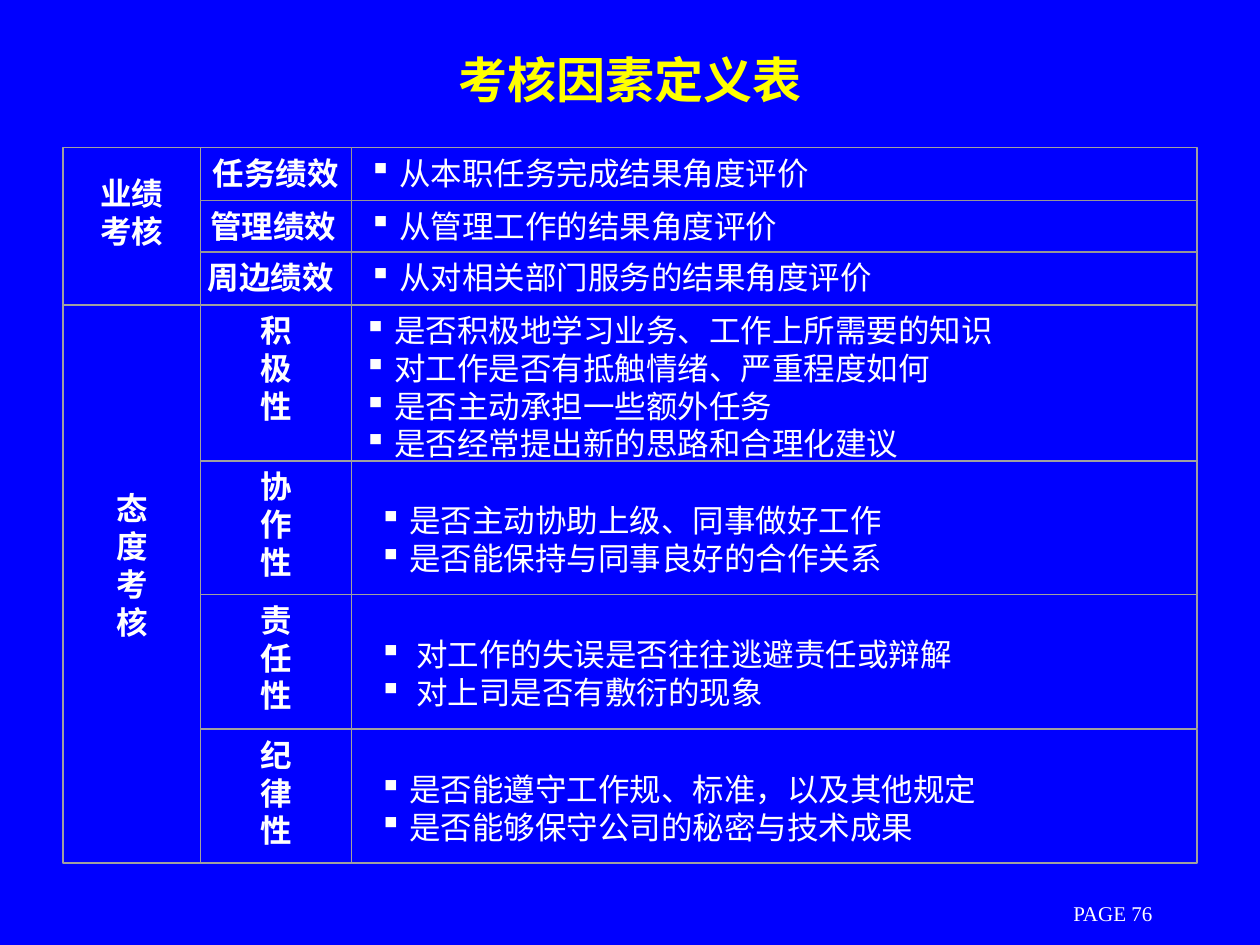
import pptx
import pptx.util
import pptx.dml.color
import pptx.enum.shapes
import pptx.enum.text
import pptx.oxml.ns
from lxml import etree

TITLE = "考核因素定义表"
PAGE_LABEL = "PAGE 76"
RESULTS_GROUP = "业绩\v考核"
RESULTS = [
    ("任务绩效", "从本职任务完成结果角度评价"),
    ("管理绩效", "从管理工作的结果角度评价"),
    ("周边绩效", "从对相关部门服务的结果角度评价"),
]
ATTITUDE_GROUP = "态度考核"
ATTITUDES = [
    ("积极性", ["是否积极地学习业务、工作上所需要的知识", "对工作是否有抵触情绪、严重程度如何",
             "是否主动承担一些额外任务", "是否经常提出新的思路和合理化建议"]),
    ("协作性", ["是否主动协助上级、同事做好工作", "是否能保持与同事良好的合作关系"]),
    ("责任性", [" 对工作的失误是否往往逃避责任或辩解", " 对上司是否有敷衍的现象"]),
    ("纪律性", ["是否能遵守工作规、标准，以及其他规定", "是否能够保守公司的秘密与技术成果"]),
]

LEFT, LABELS, DETAILS, RIGHT = 0.5, 1.59, 2.79, 9.5
TOP, MIDDLE, BOTTOM = 1.17, 2.42, 6.85
FIRST_HEIGHT = 1.24
ROW_HEIGHT = (BOTTOM - MIDDLE - FIRST_HEIGHT) / (len(ATTITUDES) - 1)
RESULT_STEP = (MIDDLE - TOP) / len(RESULTS)
SERIF = "Times New Roman"
CENTER = pptx.enum.text.PP_ALIGN.CENTER
ANCHOR = pptx.enum.text.MSO_ANCHOR


def color(value):
    return pptx.dml.color.RGBColor.from_string(value)


def inches(*values):
    return [pptx.util.Inches(round(value, 2)) for value in values]


def add_bullet(paragraph):
    properties = paragraph._p.get_or_add_pPr()
    indent = pptx.util.Inches(0.24)
    properties.set("marL", str(indent))
    properties.set("indent", str(-indent))
    tag = pptx.oxml.ns.qn
    bullet_color = etree.SubElement(properties, tag("a:buClr"))
    etree.SubElement(bullet_color, tag("a:srgbClr"), val="FFFFFF")
    etree.SubElement(properties, tag("a:buChar"), char="▪")


def style(paragraph, size, bold=False, name=SERIF, fill="FFFFFF"):
    font = paragraph.font
    font.size, font.bold, font.name = pptx.util.Pt(size), bold, name
    font.color.rgb = color(fill)


def write(shape, lines, size=18, bold=False, bullets=False, centered=False,
          anchor=ANCHOR.TOP, wrap=True, inset_top=0.05, inset_bottom=0.05):
    frame = shape.text_frame
    frame.word_wrap = wrap
    frame.vertical_anchor = anchor
    frame.margin_top, frame.margin_bottom = inches(inset_top, inset_bottom)
    for index, line in enumerate(lines):
        paragraph = frame.paragraphs[0] if index == 0 else frame.add_paragraph()
        paragraph.text = line
        paragraph.line_spacing = pptx.util.Pt(size * 1.2)
        paragraph.alignment = CENTER if centered else pptx.enum.text.PP_ALIGN.LEFT
        if bullets:
            add_bullet(paragraph)
        style(paragraph, size, bold)


def add_text(slide, box, lines, **options):
    write(slide.shapes.add_textbox(*inches(*box)), lines, **options)


def add_label(slide, box, lines, **options):
    add_text(slide, box, lines, bold=True, centered=True, **options)


def add_frame(slide, left, top, right, bottom):
    shape = slide.shapes.add_shape(pptx.enum.shapes.MSO_SHAPE.RECTANGLE,
                                   *inches(left, top, right - left, bottom - top))
    shape.shadow.inherit = False
    shape.fill.background()
    shape.line.color.rgb = color("A0A0A0")
    shape.line.width = pptx.util.Pt(0)
    return shape


def add_rule(slide, *ends):
    rule = slide.shapes.add_connector(pptx.enum.shapes.MSO_CONNECTOR.STRAIGHT, *inches(*ends))
    rule.line.color.rgb = color("969696")
    rule.line.width = pptx.util.Pt(0.75)
    etree.SubElement(rule._element.spPr, pptx.oxml.ns.qn("a:effectLst"))


def add_title(slide):
    title = slide.shapes.title
    title.left, title.top, title.width, title.height = inches(0.75, 0, 8.5, 1.25)
    title.text_frame.vertical_anchor = ANCHOR.MIDDLE
    paragraph = title.text_frame.paragraphs[0]
    paragraph.text = TITLE
    paragraph.alignment = CENTER
    style(paragraph, 28, True, "Noto Sans CJK SC", "FFFF00")


def add_results(slide):
    add_frame(slide, LABELS, TOP, RIGHT, MIDDLE)
    add_frame(slide, LEFT, TOP, LABELS, MIDDLE)
    add_label(slide, (0.69, 1.33, 0.71, 0.7), [RESULTS_GROUP])
    add_rule(slide, DETAILS, MIDDLE, DETAILS, TOP)
    for index, (label, detail) in enumerate(RESULTS):
        top = TOP + index * RESULT_STEP
        if index:
            add_rule(slide, LABELS, top, RIGHT, top)
        add_label(slide, (LABELS - 0.02 * index, top, DETAILS - LABELS, 0.4), [label], wrap=False)
        add_text(slide, (2.83, top, 6.58, 0.4), [detail], bullets=True)


def add_attitudes(slide):
    add_frame(slide, LEFT, MIDDLE, LABELS, BOTTOM)
    add_label(slide, (0.64, MIDDLE, 0.82, BOTTOM - MIDDLE), ATTITUDE_GROUP,
              anchor=ANCHOR.MIDDLE, inset_bottom=0.35)
    top = MIDDLE
    for index, (label, details) in enumerate(ATTITUDES):
        height = ROW_HEIGHT if index else FIRST_HEIGHT
        add_frame(slide, LABELS, top, DETAILS, top + height)
        add_label(slide, (1.73, top, 0.92, height), label)
        detail_frame = add_frame(slide, DETAILS, top, RIGHT, top + height)
        if index:
            add_text(slide, (2.91, top, 6.45, height), details, bullets=True, inset_top=0.32)
        else:
            write(detail_frame, details, bullets=True)
        top += height


def main():
    presentation = pptx.Presentation()
    presentation.slide_width, presentation.slide_height = inches(10, 7.5)
    slide = presentation.slides.add_slide(presentation.slide_layouts[5])
    slide.background.fill.solid()
    slide.background.fill.fore_color.rgb = color("0000FF")
    add_title(slide)
    add_results(slide)
    add_attitudes(slide)
    add_text(slide, (8.42, 7.12, 1.67, 0.25), [PAGE_LABEL], size=12,
             anchor=ANCHOR.MIDDLE, wrap=False)
    presentation.save("out.pptx")


if __name__ == "__main__":
    main()
